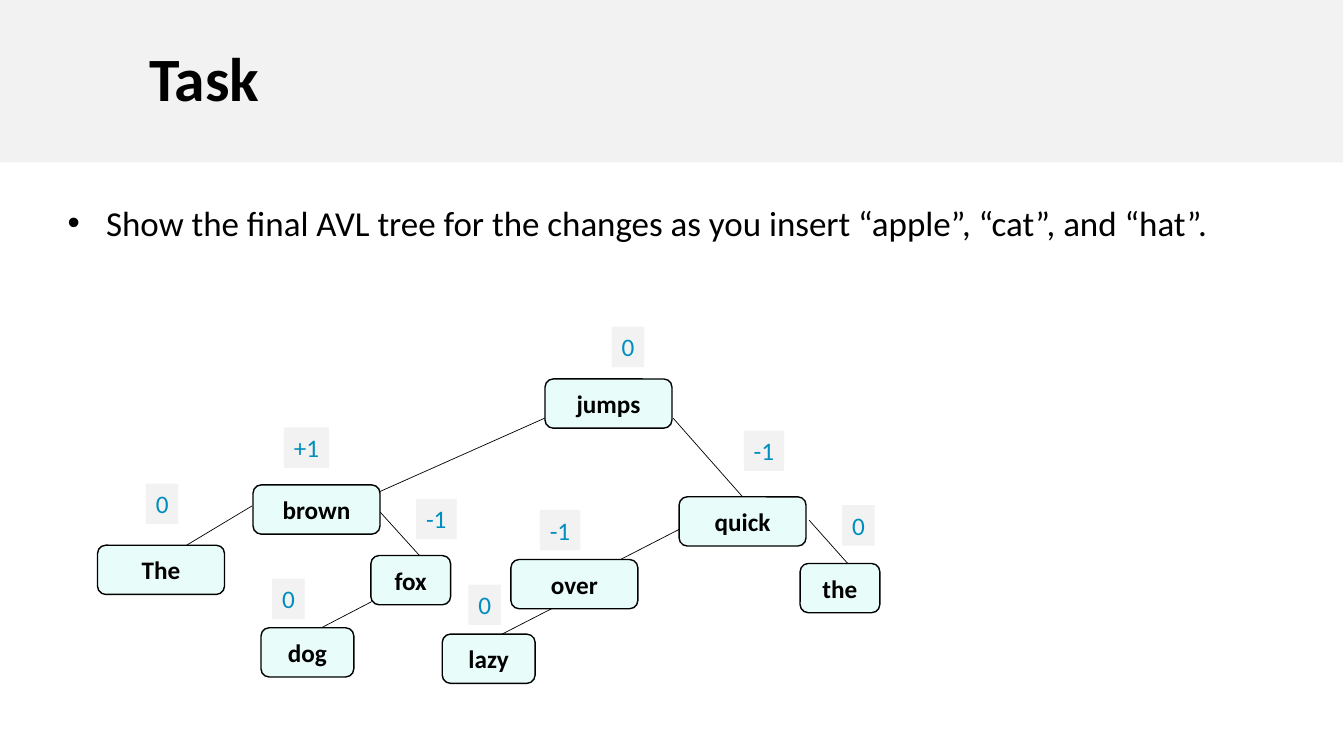
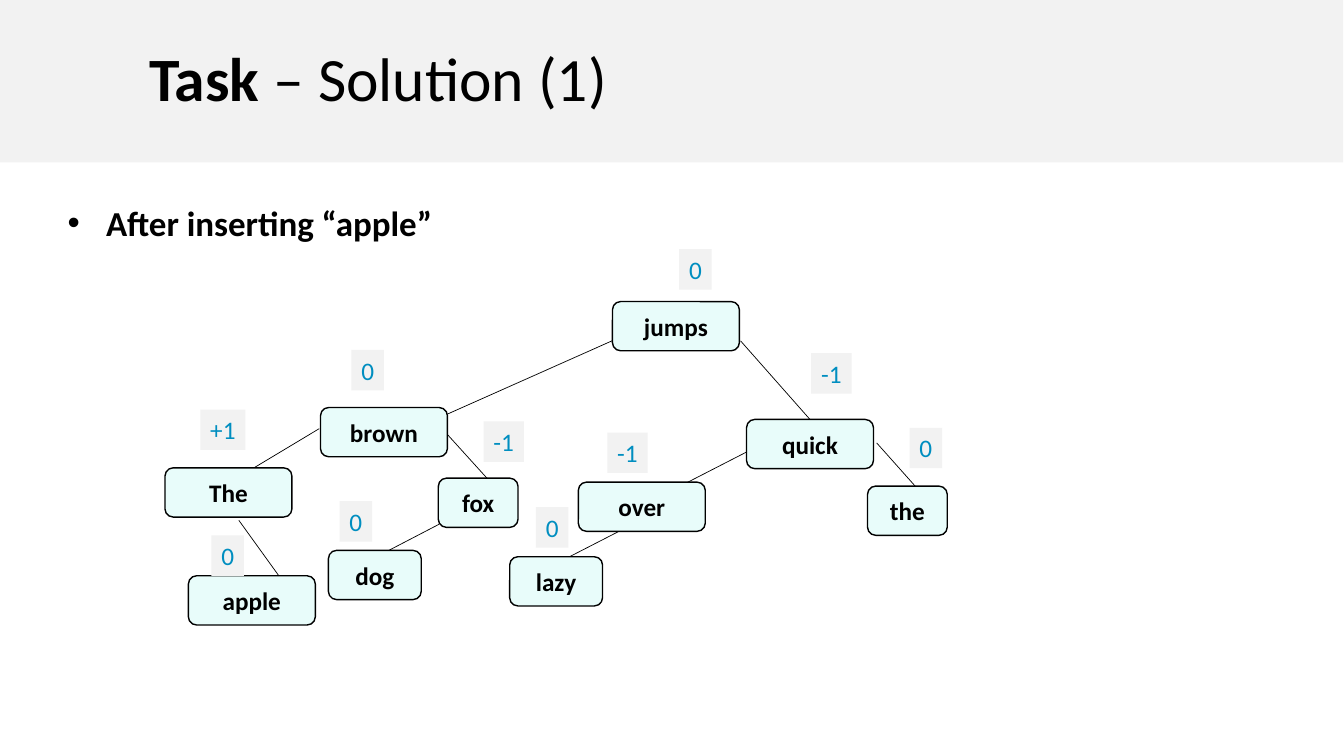
"""Build two slides that show an AVL tree before and after inserting a word."""
from lxml import etree
from pptx import Presentation, util as u
from pptx.dml.color import RGBColor
from pptx.enum import shapes, text
from pptx.oxml.ns import qn

COLORS = {"band": "F2F2F2", "node": "E8FCFA", "ink": "000000", "balance": "008EC0"}
FONT = "Calibri"
NODE_HEIGHT = 1.24
BADGE_HEIGHT = 1.02
BADGE_WIDTHS = {"0": 0.82, "-1": 1.02, "+1": 1.14}
WIDE, MEDIUM, NARROW = 3.2, 2.34, 2.01

# word: (left, top, width), (balance, left, top), link from child to parent
TREE = {
    "jumps": ((13.74, 9.55, WIDE), ("0", 15.42, 8.23), None),
    "brown": ((6.38, 12.22, WIDE), ("+1", 7.16, 10.77), (9.5, 12.42, 13.77, 10.52)),
    "quick": ((17.12, 12.52, WIDE), ("-1", 18.75, 10.85), (18.72, 12.52, 16.97, 10.54)),
    "The": ((2.46, 13.74, WIDE), ("0", 3.68, 12.19), (4.7, 13.74, 6.35, 12.75)),
    "fox": ((9.35, 14, NARROW), ("-1", 10.49, 12.57), (10.64, 14.07, 9.58, 12.9)),
    "over": ((12.88, 14.1, WIDE), ("-1", 13.61, 12.85), (15.6, 14.12, 17.12, 13.34)),
    "the": ((20.17, 14.2, NARROW), ("0", 21.23, 12.73), (21.46, 14.3, 20.4, 13.11)),
    "dog": ((6.58, 15.82, MEDIUM), ("0", 6.86, 14.58), (7.85, 15.95, 9.37, 15.16)),
    "lazy": ((11.15, 15.98, MEDIUM), ("0", 11.81, 14.73), (12.42, 16.1, 13.94, 15.32)),
}
TREE_WITH_APPLE = TREE | {
    "brown": (TREE["brown"][0], ("0", 7.16, 10.77), TREE["brown"][2]),
    "The": (TREE["The"][0], ("+1", 3.35, 12.27), TREE["The"][2]),
    "apple": ((3.05, 16.46, WIDE), ("0", 3.63, 15.44), (5.33, 16.46, 4.32, 15.06)),
}
SLIDES = [
    {"title": [("Task", True)],
     "body": "Show the final AVL tree for the changes as you insert “apple”, “cat”, and “hat”.",
     "bold": False, "tree": TREE, "shift": (0, 0)},
    {"title": [("Task ", True), ("– Solution (1)", False)],
     "body": "After inserting “apple”",
     "bold": True, "tree": TREE_WITH_APPLE, "shift": (1.7, -1.95)},
]


def place(shape, left, top, width, height):
    shape.left, shape.top = u.Cm(left), u.Cm(top)
    shape.width, shape.height = u.Cm(width), u.Cm(height)


def paint(shape, color):
    shape.fill.solid()
    shape.fill.fore_color.rgb = RGBColor.from_string(COLORS[color])


def style(font, size, color="ink", bold=False):
    font.name, font.size, font.bold = FONT, u.Pt(size), bold
    font.color.rgb = RGBColor.from_string(COLORS[color])


def fill_title(title, runs):
    place(title, 0, 0, 33.86, 4.09)
    paint(title, "band")
    frame = title.text_frame
    frame.auto_size = text.MSO_AUTO_SIZE.NONE
    frame.vertical_anchor = text.MSO_ANCHOR.MIDDLE
    frame.margin_left = u.Cm(3.76)
    paragraph = frame.paragraphs[0]
    paragraph.alignment = text.PP_ALIGN.LEFT
    paragraph.line_spacing = 0.9
    for words, bold in runs:
        run = paragraph.add_run()
        run.text = words
        style(run.font, 44, bold=bold)


def fill_body(body, words, bold):
    place(body, 1.45, 4.95, 31.65, 1.32)
    frame = body.text_frame
    frame.text = words
    frame.auto_size = text.MSO_AUTO_SIZE.SHAPE_TO_FIT_TEXT
    paragraph = frame.paragraphs[0]
    paragraph.space_before = u.Pt(0)
    style(paragraph.font, 25, bold=bold)
    properties = paragraph._p.get_or_add_pPr()
    properties.set("marL", str(u.Cm(0.97)))
    properties.set("indent", str(-u.Cm(0.97)))


def add_link(slide, ends):
    link = slide.shapes.add_connector(shapes.MSO_CONNECTOR.STRAIGHT, *map(u.Cm, ends))
    link.line.width = u.Pt(0.5)
    link.line.color.rgb = RGBColor.from_string(COLORS["ink"])
    etree.SubElement(link._element.spPr, qn("a:effectLst"))


def add_box(slide, kind, box, words, fill, color, bold):
    shape = slide.shapes.add_shape(kind, *map(u.Cm, box))
    shape.shadow.inherit = False
    paint(shape, fill)
    shape.text_frame.text = words
    style(shape.text_frame.paragraphs[0].font, 18, color, bold)
    return shape


def add_node(slide, word, left, top, width):
    node = add_box(slide, shapes.MSO_SHAPE.ROUNDED_RECTANGLE,
                   (left, top, width, NODE_HEIGHT), word, "node", "ink", True)
    node.line.width = u.Pt(1)
    node.line.color.rgb = RGBColor.from_string(COLORS["ink"])
    node.text_frame.vertical_anchor = text.MSO_ANCHOR.MIDDLE
    node.text_frame.paragraphs[0].alignment = text.PP_ALIGN.CENTER


def add_badge(slide, balance, left, top):
    badge = add_box(slide, shapes.MSO_SHAPE.RECTANGLE,
                    (left, top, BADGE_WIDTHS[balance], BADGE_HEIGHT),
                    balance, "band", "balance", False)
    badge.line.fill.background()
    frame = badge.text_frame
    frame.word_wrap = False
    frame.auto_size = text.MSO_AUTO_SIZE.SHAPE_TO_FIT_TEXT
    frame.vertical_anchor = text.MSO_ANCHOR.TOP
    frame.paragraphs[0].alignment = text.PP_ALIGN.LEFT


def draw_tree(slide, tree, shift):
    right, down = shift
    for _, _, link in tree.values():
        if link:
            x1, y1, x2, y2 = link
            add_link(slide, (x1 + right, y1 + down, x2 + right, y2 + down))
    for word, ((left, top, width), _, _) in tree.items():
        add_node(slide, word, left + right, top + down, width)
    for _, (balance, left, top), _ in tree.values():
        add_badge(slide, balance, left + right, top + down)


def main():
    presentation = Presentation()
    presentation.slide_width, presentation.slide_height = u.Cm(33.88), u.Cm(19.05)
    for content in SLIDES:
        slide = presentation.slides.add_slide(presentation.slide_layouts[1])
        fill_title(slide.shapes.title, content["title"])
        fill_body(slide.placeholders[1], content["body"], content["bold"])
        draw_tree(slide, content["tree"], content["shift"])
    presentation.save("out.pptx")


if __name__ == "__main__":
    main()
